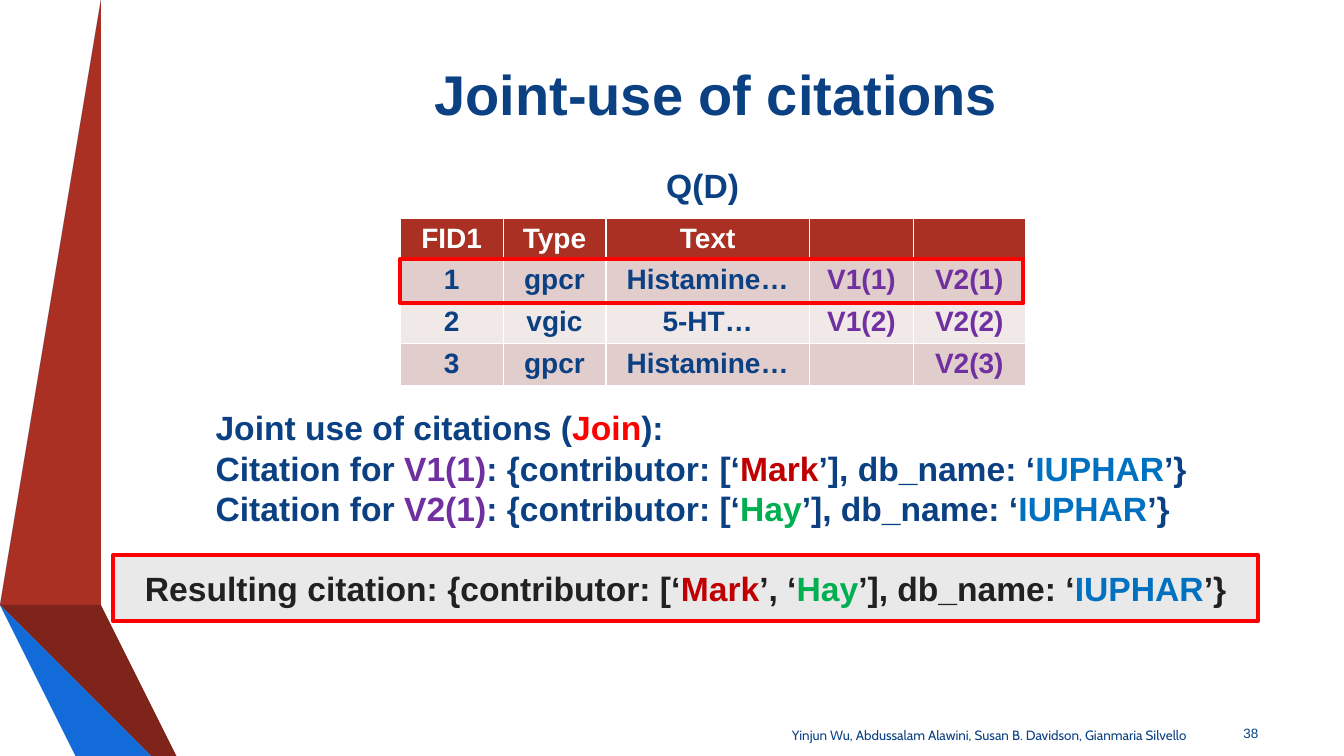
from dataclasses import dataclass
from lxml import etree
from pptx import Presentation
from pptx.dml.color import RGBColor
from pptx.enum.shapes import MSO_SHAPE
from pptx.enum.text import MSO_ANCHOR, PP_ALIGN
from pptx.oxml.ns import qn
from pptx.util import Inches, Pt

RECT = MSO_SHAPE.RECTANGLE
MIDDLE, TOP = MSO_ANCHOR.MIDDLE, MSO_ANCHOR.TOP
LEFT, CENTER, RIGHT = PP_ALIGN.LEFT, PP_ALIGN.CENTER, PP_ALIGN.RIGHT


@dataclass(frozen=True)
class Theme:
    font: str = "Arial"
    foot: str = "Cabin"
    navy: str = "0B4183"
    dark: str = "212121"
    white: str = "FFFFFF"
    red: str = "FF0000"
    brick: str = "A93023"
    maroon: str = "7F241A"
    umber: str = "541812"
    azure: str = "227DEC"
    cobalt: str = "126BD8"
    denim: str = "0F5AB6"
    violet: str = "7030A0"
    crimson: str = "C00000"
    green: str = "00B050"
    blue: str = "0070C0"
    grey: str = "E9E9E9"
    odd: str = "E2CDCD"
    even: str = "F1E8E8"
    title: float = 40
    body: float = 24
    cell: float = 20
    small: float = 9.6


THEME = Theme()
TINTS = {
    "Join": THEME.red, "V1(1)": THEME.violet, "V2(1)": THEME.violet,
    "Mark": THEME.crimson, "Hay": THEME.green, "IUPHAR": THEME.blue,
}
RIBBONS = [
    (THEME.brick, [(0.43, 5.78), (0.65, 5.83), (1.44, 0), (1.21, 0)]),
    (THEME.azure, [(1.16, 0), (0.93, 0), (0.15, 5.73), (0.37, 5.77)]),
    (THEME.denim, [(0.15, 5.73), (1.21, 7.5), (1.26, 7.5)]),
    (THEME.umber, [(0.43, 5.79), (1.73, 7.5), (1.78, 7.5)]),
    (THEME.maroon, [(0.43, 5.79), (1.78, 7.5), (2.36, 7.5), (0.65, 5.83), (0.43, 5.78)]),
    (THEME.cobalt, [(1.69, 7.5), (0.41, 5.83), (0.37, 5.77), (0.15, 5.73), (1.26, 7.5)]),
]
ROWS = [
    ["FID1", "Type", "Text", "", ""],
    ["1", "gpcr", "Histamine…", "V1(1)", "V2(1)"],
    ["2", "vgic", "5-HT…", "V1(2)", "V2(2)"],
    ["3", "gpcr", "Histamine…", "", "V2(3)"],
]
WIDTHS = [1.02, 1.02, 2.02, 1.03, 1.11]
JOINT = [
    "Joint use of citations (|Join|):",
    "Citation for |V1(1)|: {contributor: [‘|Mark|’], db_name: ‘|IUPHAR|’}",
    "Citation for |V2(1)|: {contributor: [‘|Hay|’], db_name: ‘|IUPHAR|’}",
]
RESULT = "Resulting citation: {contributor: [‘|Mark|’, ‘|Hay|’], db_name: ‘|IUPHAR|’}"


class Canvas:
    def __init__(self, slide, theme):
        self.slide = slide
        self.theme = theme

    def style(self, run, size, color, bold=True, font=None):
        run.font.name = font or self.theme.font
        run.font.size = Pt(size)
        run.font.bold = bold
        run.font.color.rgb = RGBColor.from_string(color)

    def letter(self, frame, lines, size, color, align=CENTER, bold=True, font=None):
        for index, line in enumerate(lines):
            para = frame.add_paragraph() if index else frame.paragraphs[0]
            para.alignment = align
            for part in line.split("|"):
                run = para.add_run()
                run.text = part
                self.style(run, size, TINTS.get(part, color), bold, font)

    def text(self, box, lines, size, align=CENTER, anchor=MIDDLE, wrap=True, **look):
        shape = self.slide.shapes.add_textbox(*map(Inches, box))
        frame = shape.text_frame
        frame.word_wrap = wrap
        frame.vertical_anchor = anchor
        self.letter(frame, lines, size, self.theme.navy, align, **look)

    def ribbon(self, color, points):
        maker = self.slide.shapes.build_freeform(*points[0], scale=Inches(1))
        maker.add_line_segments(points[1:], close=True)
        shape = maker.convert_to_shape()
        shape.shadow.inherit = False
        shape.fill.solid()
        shape.fill.fore_color.rgb = RGBColor.from_string(color)
        shape.line.fill.background()

    def frame(self, box, fill=None):
        shape = self.slide.shapes.add_shape(RECT, *map(Inches, box))
        shape.shadow.inherit = False
        if fill:
            shape.fill.solid()
            shape.fill.fore_color.rgb = RGBColor.from_string(fill)
        else:
            shape.fill.background()
        shape.line.color.rgb = RGBColor.from_string(self.theme.red)
        shape.line.width = Pt(3)
        shape.text_frame.word_wrap = True
        shape.text_frame.vertical_anchor = MIDDLE
        return shape.text_frame

    def border(self, cell):
        props = cell._tc.get_or_add_tcPr()
        for side in ("lnL", "lnR", "lnT", "lnB"):
            line = etree.SubElement(props, qn("a:" + side), w=str(Pt(1)))
            fill = etree.SubElement(line, qn("a:solidFill"))
            etree.SubElement(fill, qn("a:srgbClr"), val=self.theme.white)

    def table(self, left, top, widths, height, rows):
        theme = self.theme
        box = (left, top, sum(widths), height * len(rows))
        table = self.slide.shapes.add_table(
            len(rows), len(widths), *map(Inches, box)).table
        for column, width in zip(table.columns, widths):
            column.width = Inches(width)
        for y, row in enumerate(rows):
            table.rows[y].height = Inches(height)
            back = (theme.odd if y % 2 else theme.even) if y else theme.brick
            for x, value in enumerate(row):
                cell = table.cell(y, x)
                self.border(cell)
                cell.fill.solid()
                cell.fill.fore_color.rgb = RGBColor.from_string(back)
                cell.margin_top = cell.margin_bottom = Inches(0.04)
                cell.vertical_anchor = TOP
                ink = (theme.violet if x > 2 else theme.navy) if y else theme.white
                cell.text_frame.text = value
                para = cell.text_frame.paragraphs[0]
                para.alignment = CENTER
                para.font.size = Pt(theme.cell)
                for run in para.runs:
                    self.style(run, theme.cell, ink)


def main():
    deck = Presentation()
    deck.slide_width = Inches(13.33)
    deck.slide_height = Inches(7.5)
    canvas = Canvas(deck.slides.add_slide(deck.slide_layouts[6]), THEME)
    for color, points in RIBBONS:
        canvas.ribbon(color, points)
    authors = "Yinjun Wu, Abdussalam Alawini, Susan B. Davidson, Gianmaria Silvello"
    canvas.text((7.64, 7.11, 4.34, 0.36), [authors], THEME.small,
                bold=False, font=THEME.foot)
    canvas.table(3.97, 2.17, WIDTHS, 0.41, ROWS)
    canvas.text((1.62, 0.21, 10.96, 1.43), ["Joint-use of citations"], THEME.title)
    canvas.text((2.04, 3.99, 9.86, 1.31), JOINT, THEME.body, LEFT, TOP)
    canvas.text((6.51, 1.59, 0.93, 0.5), ["Q(D)"], THEME.body, LEFT, TOP, wrap=False)
    result = canvas.frame((1.12, 5.51, 11.36, 0.65), THEME.grey)
    canvas.letter(result, [RESULT], THEME.body, THEME.dark)
    canvas.frame((3.97, 2.57, 6.18, 0.44))
    canvas.text((11.98, 7.07, 0.6, 0.4), ["38"], THEME.small, RIGHT, bold=False)
    deck.save("out.pptx")


if __name__ == "__main__":
    main()
